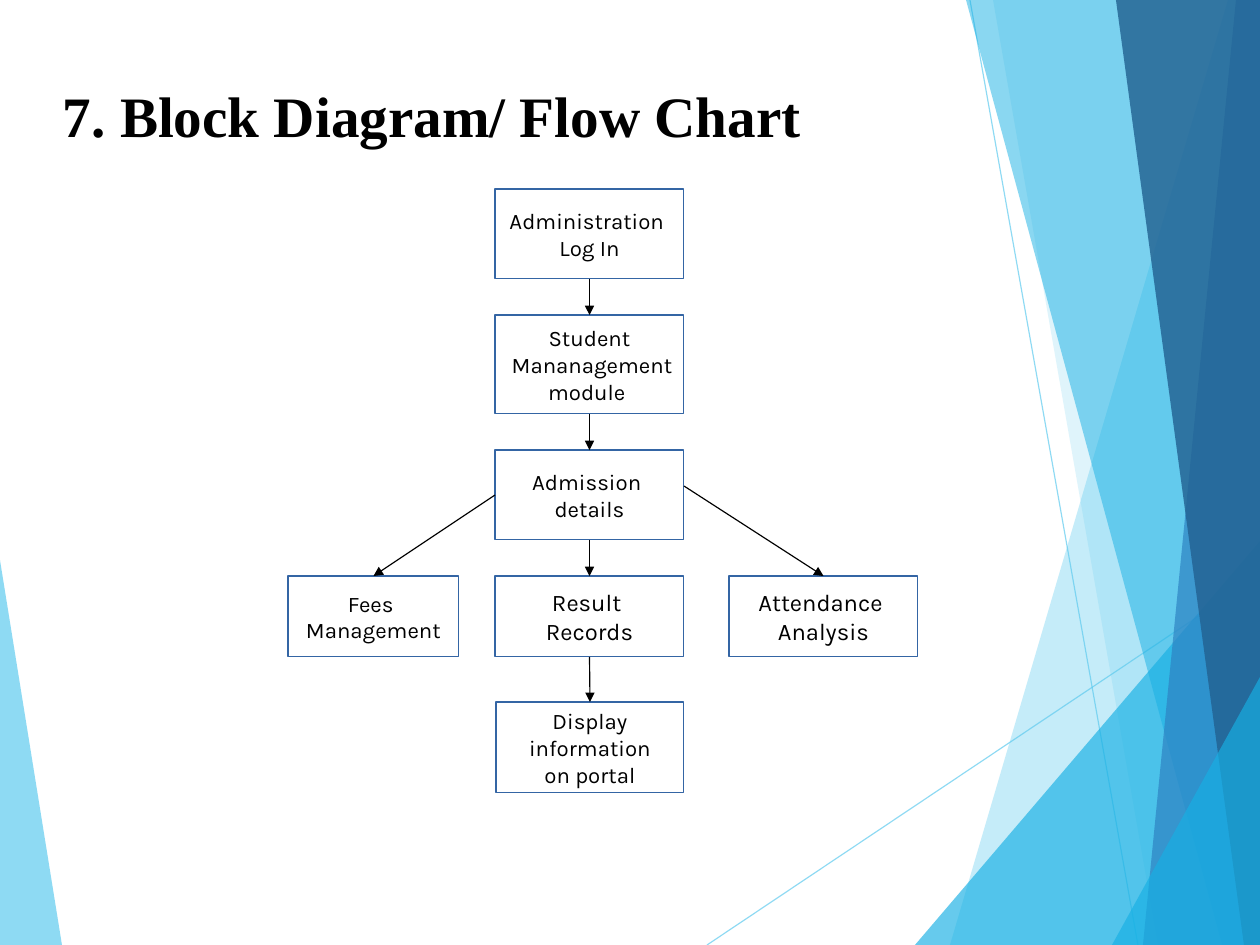
import pptx
import pptx.dml.color
import pptx.enum.shapes
import pptx.enum.text
import pptx.oxml.ns
import pptx.util
from lxml import etree

PX = 8000  # EMU per px
WIDTH, HEIGHT = 1260, 945
TOP, LEFT, BOTTOM = 0, 1, 2  # connection sites of a rectangle

COLORS = {
    "text": "000000",
    "box": "3465A4",
    "sky": "5FCBEF",
    "cyan": "17B0E4",
    "blue": "2E83C3",
    "navy": "236292",
}

# Decorative panels: colour, opacity in percent, corner points
LEFT_PANEL = ("sky", 70, [(0, 560), (62, HEIGHT), (0, HEIGHT)])
RIGHT_PANELS = [
    ("sky", 36, [(1228, 0), (950, HEIGHT), (WIDTH, HEIGHT), (WIDTH, 0)]),
    ("sky", 20, [(993, 0), (1158, HEIGHT), (WIDTH, HEIGHT), (WIDTH, 0)]),
    ("cyan", 66, [(915, HEIGHT), (WIDTH, 541), (WIDTH, HEIGHT)]),
    ("cyan", 50, [(966, 0), (1222, HEIGHT), (WIDTH, HEIGHT), (WIDTH, 0)]),
    ("blue", 70, [(1236, 0), (1143, HEIGHT), (WIDTH, HEIGHT), (WIDTH, 0)]),
    ("navy", 82, [(1116, 0), (1244, HEIGHT), (WIDTH, HEIGHT), (WIDTH, 0)]),
    ("cyan", 66, [(1112, HEIGHT), (WIDTH, 677), (WIDTH, HEIGHT)]),
]
THIN_LINES = [((707, HEIGHT), (WIDTH, 575)), ((970, 0), (1138, HEIGHT))]

# Flow chart boxes: left, top, width, height, font size, lines of text
BOXES = {
    "module": (495, 315, 189, 99, 14, ["Student", " Mananagement", "module "]),
    "login": (495, 189, 189, 90, 14, ["Administration ", "Log In"]),
    "fees": (288, 576, 171, 81, 14, ["Fees ", "Management"]),
    "admission": (495, 450, 189, 90, 14, ["Admission ", "details"]),
    "result": (495, 576, 189, 81, 15, ["Result ", "Records"]),
    "attendance": (729, 576, 189, 81, 15, ["Attendance ", "Analysis"]),
    "display": (496, 702, 188, 91, 14, ["Display", " information ", "on portal"]),
}
MAIN_FLOW = ["login", "module", "admission", "result", "display"]


def px(length):
    return pptx.util.Emu(length * PX)


def rgb(name):
    return pptx.dml.color.RGBColor.from_string(COLORS[name])


def add_xml(parent, tag, **attributes):
    return etree.SubElement(parent, pptx.oxml.ns.qn(tag), attributes)


def set_opacity(shape, percent):
    for color in shape.element.spPr.iter(pptx.oxml.ns.qn("a:srgbClr")):
        add_xml(color, "a:alpha", val=str(percent * 1000))


def add_panel(slide, color, opacity, points):
    builder = slide.shapes.build_freeform(*points[0], scale=PX)
    builder.add_line_segments(points[1:], close=True)
    panel = builder.convert_to_shape()
    panel.shadow.inherit = False
    panel.fill.solid()
    panel.fill.fore_color.rgb = rgb(color)
    panel.line.fill.background()
    set_opacity(panel, opacity)


def add_line(slide, start, end, color):
    line = slide.shapes.add_connector(
        pptx.enum.shapes.MSO_CONNECTOR.STRAIGHT, *map(px, start + end))
    line.line.color.rgb = rgb(color)
    line.line.width = pptx.util.Pt(0.75)
    add_xml(line.element.spPr, "a:effectLst")
    return line


def add_arrow(slide, target, source=None, source_site=BOTTOM, start=(0, 0)):
    arrow = add_line(slide, start, start, "text")
    if source is not None:
        arrow.begin_connect(source, source_site)
    arrow.end_connect(target, TOP)
    outline = arrow.element.spPr.find(pptx.oxml.ns.qn("a:ln"))
    add_xml(outline, "a:tailEnd", type="triangle")


def add_run(paragraph, text, font_name, size, bold=False):
    run = paragraph.add_run()
    run.text = text
    run.font.name = font_name
    run.font.size = pptx.util.Pt(size)
    run.font.bold = bold
    run.font.color.rgb = rgb("text")


def add_title(slide, text):
    title = slide.shapes.add_textbox(px(63), px(38), px(1134), px(158))
    frame = title.text_frame
    frame.word_wrap = True
    frame.vertical_anchor = pptx.enum.text.MSO_ANCHOR.MIDDLE
    frame.margin_left = frame.margin_right = frame.margin_bottom = 0
    frame.margin_top = px(3)
    paragraph = frame.paragraphs[0]
    paragraph.line_spacing = 0.93
    add_run(paragraph, text, "Times New Roman", 36, bold=True)


def add_box(slide, left, top, width, height, size, lines):
    box = slide.shapes.add_shape(
        pptx.enum.shapes.MSO_SHAPE.RECTANGLE,
        px(left), px(top), px(width), px(height))
    box.shadow.inherit = False
    box.fill.background()
    box.line.color.rgb = rgb("box")
    box.line.width = pptx.util.Pt(0.75)
    frame = box.text_frame
    frame.word_wrap = False
    frame.vertical_anchor = pptx.enum.text.MSO_ANCHOR.MIDDLE
    for index, text in enumerate(lines):
        paragraph = frame.add_paragraph() if index else frame.paragraphs[0]
        paragraph.alignment = pptx.enum.text.PP_ALIGN.CENTER
        add_run(paragraph, text, "Karla", size)
    return box


def main():
    presentation = pptx.Presentation()
    presentation.slide_width = px(WIDTH)
    presentation.slide_height = px(HEIGHT)
    slide = presentation.slides.add_slide(presentation.slide_layouts[6])

    # Background decoration
    add_panel(slide, *LEFT_PANEL)
    for start, end in THIN_LINES:
        set_opacity(add_line(slide, start, end, "sky"), 70)
    for panel in RIGHT_PANELS:
        add_panel(slide, *panel)

    # Title and flow chart boxes
    add_title(slide, "7. Block Diagram/ Flow Chart")
    boxes = {name: add_box(slide, *box) for name, box in BOXES.items()}

    # Arrows down the main flow, then out to both sides
    for source, target in zip(MAIN_FLOW, MAIN_FLOW[1:]):
        add_arrow(slide, boxes[target], boxes[source])
    add_arrow(slide, boxes["fees"], boxes["admission"], LEFT)
    add_arrow(slide, boxes["attendance"], start=(684, 486))

    presentation.save("out.pptx")


if __name__ == "__main__":
    main()
